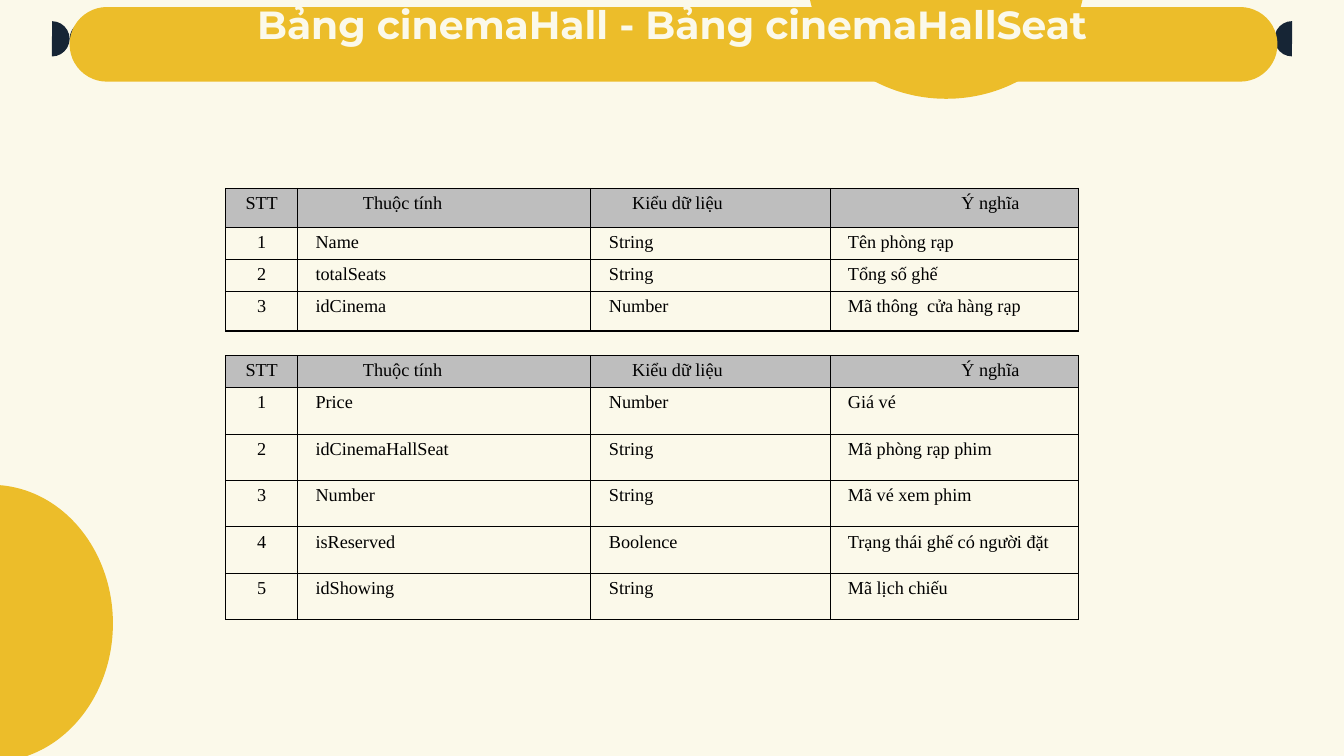
from dataclasses import dataclass

from lxml.etree import SubElement
from pptx import Presentation
from pptx.dml.color import RGBColor
from pptx.enum.shapes import MSO_SHAPE
from pptx.enum.text import PP_ALIGN
from pptx.oxml.ns import qn
from pptx.util import Inches, Pt

CREAM, GOLD, NAVY, GREY, BLACK = "FBF9EA", "ECBD2A", "162535", "BEBEBE", "000000"
HALF = (53.46, 162)
DOT_HALF = (54.58, 162)
COL_WIDTHS = (0.71, 2.91, 2.38, 2.46)
HEADER = ("STT", "Thuộc tính", "Kiểu dữ liệu", "Ý nghĩa")
HEADER_INDENTS = (0, 0.55, 0.31, 0)
BODY_INDENTS = (0, 0.08, 0.08, 0.07)


@dataclass
class Decor:
    kind: MSO_SHAPE
    left: float
    top: float
    width: float
    height: float
    color: str
    adjustments: tuple = ()
    rotation: float = 0


@dataclass
class Schema:
    top: float
    heights: tuple
    fields: tuple


DECORS = (
    Decor(MSO_SHAPE.PIE, -1.29, 4.81, 2.41, 2.75, GOLD, HALF, 180),
    Decor(MSO_SHAPE.PIE, 8.18, -1.6, 2.41, 2.75, GOLD, HALF, 270),
    Decor(MSO_SHAPE.PIE, 0.34, 0.21, 0.35, 0.35, NAVY, DOT_HALF, 180),
    Decor(MSO_SHAPE.OVAL, 0.69, 0.21, 0.35, 0.35, NAVY, (), 180),
    Decor(MSO_SHAPE.PIE, 12.64, 0.21, 0.35, 0.35, NAVY, DOT_HALF),
    Decor(MSO_SHAPE.ROUNDED_RECTANGLE, 0.69, 0.07, 11.98, 0.74, GOLD, (0.5,)),
)

SCHEMAS = (
    Schema(1.87, (0.39, 0.28, 0.28, 0.39), (
        ("Name", "String", "Tên phòng rạp"),
        ("totalSeats", "String", "Tổng số ghế"),
        ("idCinema", "Number", "Mã thông  cửa hàng rạp"),
    )),
    Schema(3.53, (0.22,) + (0.46,) * 5, (
        ("Price", "Number", "Giá vé"),
        ("idCinemaHallSeat", "String", "Mã phòng rạp phim"),
        ("Number", "String", "Mã vé xem phim"),
        ("isReserved", "Boolence", "Trạng thái ghế có người đặt"),
        ("idShowing", "String", "Mã lịch chiếu"),
    )),
)


def rgb(color: str) -> RGBColor:
    return RGBColor.from_string(color)


def write(tf, text: str, *, font: str, size: float, color: str, bold: bool = False,
          align=PP_ALIGN.LEFT, indent: float = 0, right: float = 0,
          spacing: float = 1) -> None:
    p = tf.paragraphs[0]
    p.alignment = align
    p.line_spacing = spacing
    pPr = p._p.get_or_add_pPr()
    pPr.set("marL", str(Inches(indent)))
    pPr.set("marR", str(Inches(right)))
    r = p.add_run()
    r.text = text
    r.font.name, r.font.size, r.font.bold = font, Pt(size), bold
    r.font.color.rgb = rgb(color)


def add_decor(s, d: Decor) -> None:
    sp = s.shapes.add_shape(d.kind, Inches(d.left), Inches(d.top),
                            Inches(d.width), Inches(d.height))
    for i, value in enumerate(d.adjustments):
        sp.adjustments[i] = value
    sp.rotation = d.rotation
    sp.shadow.inherit = False
    sp.fill.solid()
    sp.fill.fore_color.rgb = rgb(d.color)
    sp.line.fill.background()


def add_title(s, text: str) -> None:
    tf = s.shapes.add_textbox(Inches(1.05), Inches(0.07),
                              Inches(11.23), Inches(0.83)).text_frame
    tf.word_wrap = True
    tf.margin_left = tf.margin_right = tf.margin_bottom = 0
    tf.margin_top = Inches(0.02)
    write(tf, text, font="Montserrat", size=28, color=CREAM, bold=True,
          align=PP_ALIGN.CENTER, spacing=0.8)


def add_borders(cell) -> None:
    tcPr = cell._tc.get_or_add_tcPr()
    for side in ("a:lnL", "a:lnR", "a:lnT", "a:lnB"):
        ln = SubElement(tcPr, qn(side), w=str(Pt(1)))
        fill = SubElement(ln, qn("a:solidFill"))
        SubElement(fill, qn("a:srgbClr"), val=BLACK)


def fill_cell(cell, text: str, row: int, col: int) -> None:
    is_header = row == 0
    add_borders(cell)
    if is_header:
        cell.fill.solid()
        cell.fill.fore_color.rgb = rgb(GREY)
    else:
        cell.fill.background()
    align, right = PP_ALIGN.LEFT, 0
    if col == 0:
        align = PP_ALIGN.CENTER
    elif is_header and col == len(HEADER) - 1:
        align, right = PP_ALIGN.RIGHT, 0.49
    indents = HEADER_INDENTS if is_header else BODY_INDENTS
    write(cell.text_frame, text, font="Times New Roman", size=13, color=BLACK,
          align=align, indent=indents[col], right=right)


def add_schema(s, schema: Schema) -> None:
    rows = [HEADER] + [(str(n), *field) for n, field in enumerate(schema.fields, 1)]
    table = s.shapes.add_table(len(rows), len(HEADER), Inches(2.24), Inches(schema.top),
                               Inches(sum(COL_WIDTHS)), Inches(sum(schema.heights))).table
    table.first_row = table.horz_banding = False
    for column, width in zip(table.columns, COL_WIDTHS):
        column.width = Inches(width)
    for i, (values, height) in enumerate(zip(rows, schema.heights)):
        table.rows[i].height = Inches(height)
        for j, text in enumerate(values):
            fill_cell(table.cell(i, j), text, i, j)


def main() -> None:
    prs = Presentation()
    prs.slide_width, prs.slide_height = Inches(13.33), Inches(7.5)
    s = prs.slides.add_slide(prs.slide_layouts[6])
    s.background.fill.solid()
    s.background.fill.fore_color.rgb = rgb(CREAM)
    for decor in DECORS:
        add_decor(s, decor)
    add_title(s, "Bảng cinemaHall - Bảng cinemaHallSeat")
    for schema in SCHEMAS:
        add_schema(s, schema)
    prs.save("out.pptx")


if __name__ == "__main__":
    main()
